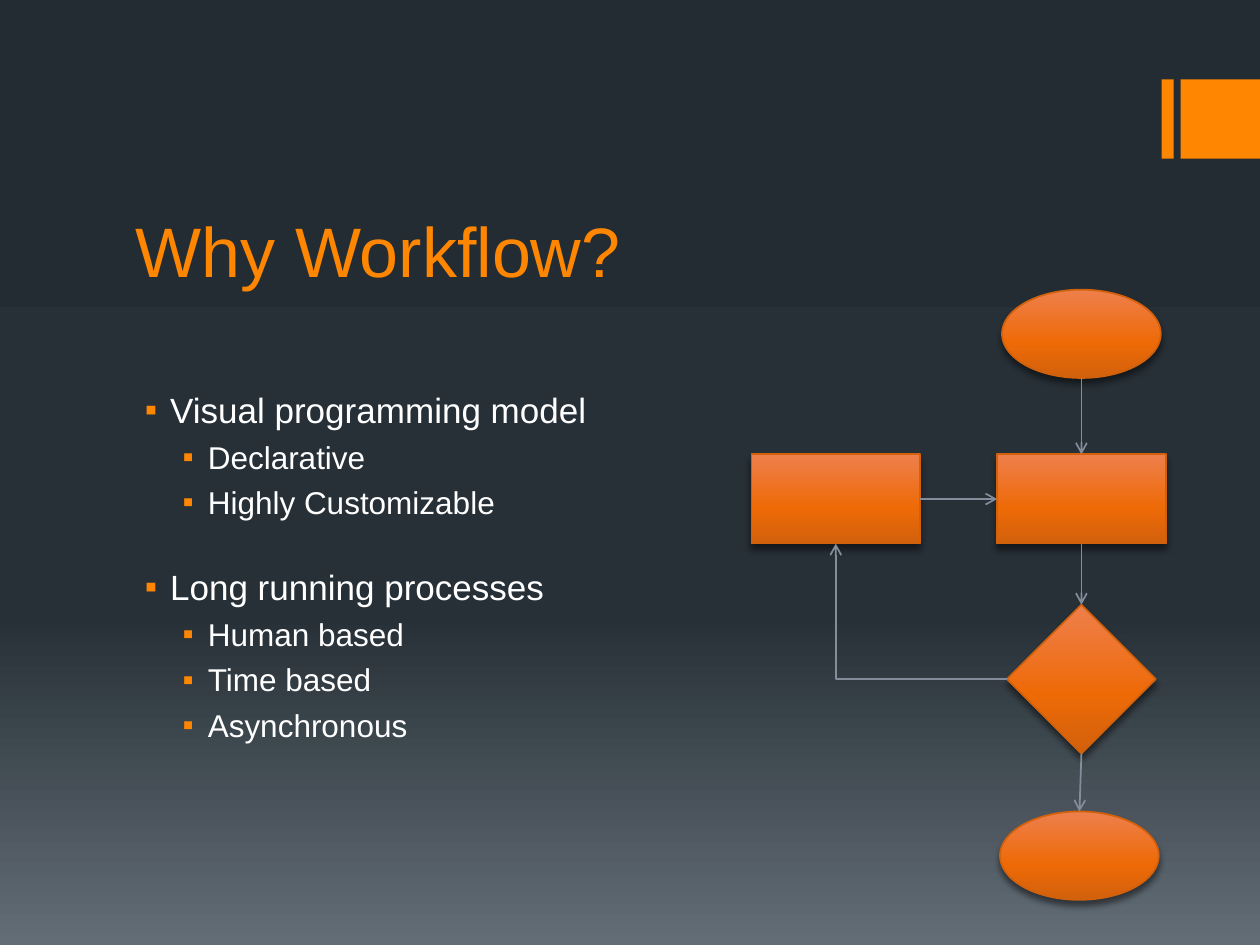
from copy import deepcopy
from dataclasses import dataclass

from lxml.etree import SubElement
from pptx import Presentation
from pptx.dml.color import RGBColor
from pptx.enum.shapes import MSO_CONNECTOR, MSO_SHAPE
from pptx.enum.text import MSO_ANCHOR
from pptx.oxml.ns import qn
from pptx.util import Cm, Pt


@dataclass(frozen=True)
class Theme:
    font: str = "Arial"
    accent: str = "FF8600"
    text: str = "FFFFFF"
    outline: str = "D2610C"
    arrow: str = "838D9B"
    background: tuple = ((0, "242C33"), (0.65, "273037"), (1, "636D76"))
    node: tuple = ((0, "EE7F4C"), (0.6, "EE6A07"), (1, "D2610C"))
    title_size: int = 40
    level_sizes: tuple = (20, 18)


TOP, LEFT, BOTTOM, RIGHT = range(4)


def add_text(paragraph, text, *, font, size, color):
    run = paragraph.add_run()
    run.text = text
    run.font.name = font
    run.font.size = Pt(size)
    run.font.color.rgb = RGBColor.from_string(color)


def set_gradient(fill, element, stops):
    """Fill downwards with three colour stops."""
    fill.gradient()
    fill.gradient_angle = 270
    stop_list = next(element.iter(qn("a:gsLst")))
    stop_list.append(deepcopy(stop_list[0]))
    for stop, (position, color) in zip(fill.gradient_stops, stops):
        stop.position = position
        stop.color.rgb = RGBColor.from_string(color)


def side_point(shape, side):
    middle_x = shape.left + shape.width // 2
    middle_y = shape.top + shape.height // 2
    return {
        TOP: (middle_x, shape.top),
        LEFT: (shape.left, middle_y),
        BOTTOM: (middle_x, shape.top + shape.height),
        RIGHT: (shape.left + shape.width, middle_y),
    }[side]


class SlideBuilder:
    def __init__(self, slide, theme):
        self.slide = slide
        self.theme = theme

    def background(self):
        set_gradient(self.slide.background.fill, self.slide.element, self.theme.background)

    def tab(self, left, top, width, height):
        shape = self.slide.shapes.add_shape(
            MSO_SHAPE.RECTANGLE, Cm(left), Cm(top), Cm(width), Cm(height))
        shape.shadow.inherit = False
        shape.fill.solid()
        shape.fill.fore_color.rgb = RGBColor.from_string(self.theme.accent)
        shape.line.fill.background()

    def text_frame(self, left, top, width, height):
        box = self.slide.shapes.add_textbox(Cm(left), Cm(top), Cm(width), Cm(height))
        box.text_frame.word_wrap = True
        return box.text_frame

    def title(self, text, *position):
        frame = self.text_frame(*position)
        frame.vertical_anchor = MSO_ANCHOR.BOTTOM
        frame.margin_bottom = Cm(1.75)
        add_text(frame.paragraphs[0], text, font=self.theme.font,
                 size=self.theme.title_size, color=self.theme.accent)

    def bullets(self, items, *position):
        frame = self.text_frame(*position)
        for index, (level, space, text) in enumerate(items):
            paragraph = frame.add_paragraph() if index else frame.paragraphs[0]
            paragraph.level = level
            paragraph.space_before = Pt(space)
            properties = paragraph._p.get_or_add_pPr()
            properties.set("marL", str(Cm(0.64 + 0.76 * level)))
            properties.set("indent", str(-Cm(0.51)))
            bullet_color = SubElement(properties, qn("a:buClr"))
            SubElement(bullet_color, qn("a:srgbClr"), val=self.theme.accent)
            SubElement(properties, qn("a:buFont"), typeface=self.theme.font)
            SubElement(properties, qn("a:buChar"), char="▪")
            add_text(paragraph, text, font=self.theme.font,
                     size=self.theme.level_sizes[level], color=self.theme.text)

    def node(self, kind, center_x, top, width, height):
        shape = self.slide.shapes.add_shape(
            kind, Cm(center_x - width / 2), Cm(top), Cm(width), Cm(height))
        set_gradient(shape.fill, shape._element, self.theme.node)
        shape.line.color.rgb = RGBColor.from_string(self.theme.outline)
        shape.line.width = Pt(1)
        # Soft shadow below the node
        shape.shadow.inherit = False
        effects = shape._element.spPr.find(qn("a:effectLst"))
        shadow = SubElement(effects, qn("a:outerShdw"), blurRad=str(Pt(3.8)),
                            dist=str(Pt(3)), dir="5400000", rotWithShape="0")
        color = SubElement(shadow, qn("a:srgbClr"), val="000000")
        SubElement(color, qn("a:alpha"), val="48000")
        return shape

    def arrow(self, start, start_side, end, end_side, bent=False):
        kind = MSO_CONNECTOR.ELBOW if bent else MSO_CONNECTOR.STRAIGHT
        connector = self.slide.shapes.add_connector(
            kind, *side_point(start, start_side), *side_point(end, end_side))
        # An ellipse numbers its connection sites differently
        if start.auto_shape_type != MSO_SHAPE.OVAL:
            connector.begin_connect(start, start_side)
        connector.end_connect(end, end_side)
        connector.line.color.rgb = RGBColor.from_string(self.theme.arrow)
        connector.line.width = Pt(1)
        properties = connector._element.spPr
        if bent:
            properties.find(qn("a:prstGeom")).set("prst", "bentConnector2")
        SubElement(properties.find(qn("a:ln")), qn("a:tailEnd"), type="arrow")
        SubElement(properties, qn("a:effectLst"))


presentation = Presentation()
presentation.slide_width = Cm(25.4)
presentation.slide_height = Cm(19.05)
builder = SlideBuilder(
    presentation.slides.add_slide(presentation.slide_layouts[6]), Theme())

# Background and corner tabs
builder.background()
builder.tab(23.42, 1.6, 0.24, 1.6)
builder.tab(23.8, 1.6, 1.6, 1.6)

# Title and bullets: level, space before, text
builder.title("Why Workflow?", 2.49, 3.33, 20.32, 4.29)
builder.bullets([
    (0, 0, "Visual programming model"),
    (1, 4.3, "Declarative"),
    (1, 4.3, "Highly Customizable"),
    (0, 25.5, "Long running processes"),
    (1, 4.3, "Human based"),
    (1, 4.3, "Time based"),
    (1, 4.3, "Asynchronous"),
], 2.54, 7.7, 20.32, 9.83)

# Flowchart nodes
MAIN_X, SIDE_X = 21.8, 16.85
OVAL_SIZE, STEP_SIZE = (3.2, 1.78), (3.4, 1.8)
finish = builder.node(MSO_SHAPE.OVAL, MAIN_X - 0.04, 16.36, *OVAL_SIZE)
side_step = builder.node(MSO_SHAPE.RECTANGLE, SIDE_X, 9.16, *STEP_SIZE)
begin = builder.node(MSO_SHAPE.OVAL, MAIN_X, 5.84, *OVAL_SIZE)
main_step = builder.node(MSO_SHAPE.RECTANGLE, MAIN_X, 9.16, *STEP_SIZE)
decision = builder.node(MSO_SHAPE.DIAMOND, MAIN_X, 12.19, 3, 3)

# Flow
for upper, lower in ((begin, main_step), (main_step, decision), (decision, finish)):
    builder.arrow(upper, BOTTOM, lower, TOP)
builder.arrow(decision, LEFT, side_step, BOTTOM, bent=True)
builder.arrow(side_step, RIGHT, main_step, LEFT)

presentation.save("out.pptx")
